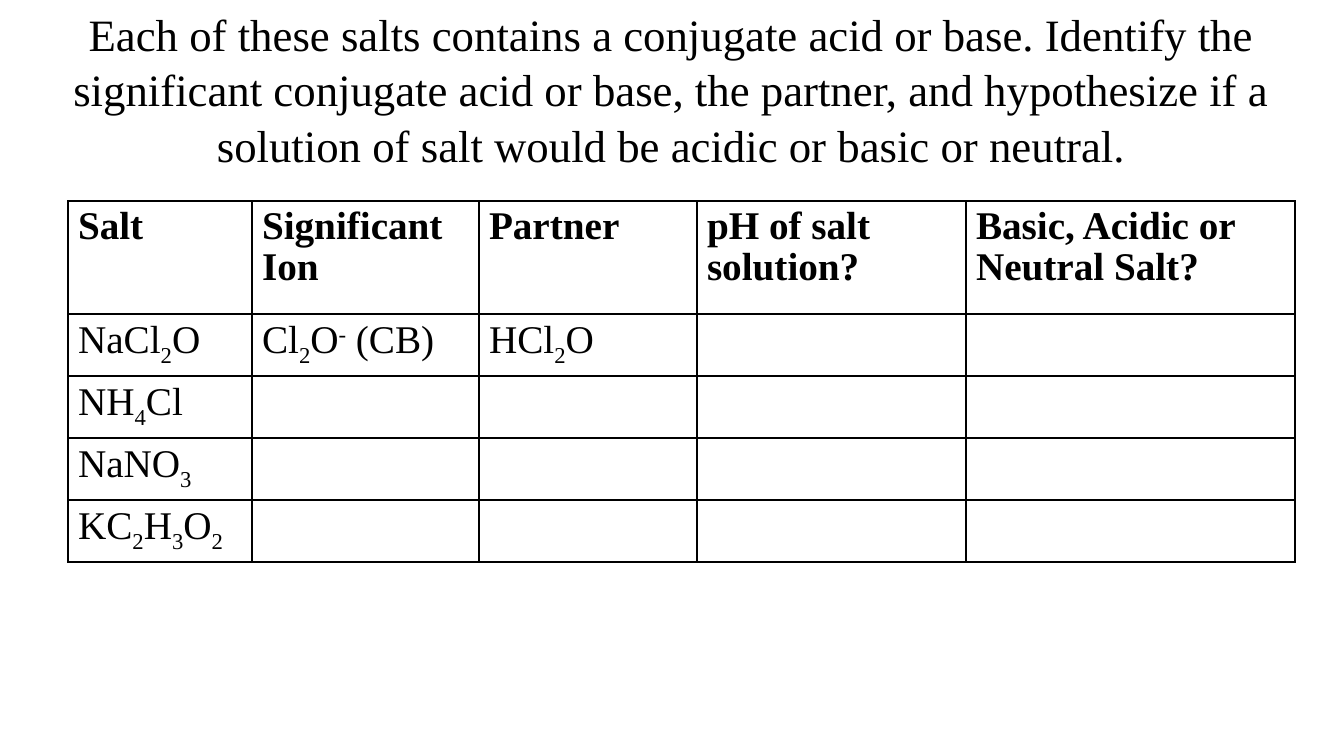
from pptx import Presentation
from pptx.dml.color import RGBColor
from pptx.enum.text import MSO_ANCHOR as ANCHOR, MSO_AUTO_SIZE as AUTO, PP_ALIGN as ALIGN
from pptx.oxml import parse_xml
from pptx.oxml.ns import nsdecls
from pptx.util import Emu, Pt

# Content: "_" lowers and "^" raises the next character
TITLE = ("Each of these salts contains a conjugate acid or base. Identify the "
         "significant conjugate acid or base, the partner, and hypothesize if a "
         "solution of salt would be acidic or basic or neutral.")
ROWS = [
    ["Salt", "Significant Ion", "Partner", "pH of salt solution?",
     "Basic, Acidic or Neutral Salt?"],
    ["NaCl_2O", "Cl_2O^- (CB)", "HCl_2O", "", ""],
    ["NH_4Cl", "", "", "", ""],
    ["NaNO_3", "", "", "", ""],
    ["KC_2H_3O_2", "", "", "", ""],
]
COL_WIDTHS = [184, 227, 218, 269, 329]
ROW_HEIGHTS = [113] + [62] * 4
TITLE_BOX = (50, 25, 1243, 126)
TABLE_AT = (68, 201)

FONT = "Times New Roman"
BLACK = RGBColor(0, 0, 0)
WHITE = RGBColor(255, 255, 255)
BASELINES = {"_": "-25000", "^": "30000"}


def px(n):
    return Emu(round(n * 914400 / 100.8))


def add_run(p, text, size, bold=False, baseline=None):
    r = p.add_run()
    r.text = text
    f = r.font
    f.name, f.size, f.bold = FONT, Pt(size), bold
    f.color.rgb = BLACK
    if baseline:
        r._r.get_or_add_rPr().set("baseline", baseline)


def add_formula(p, text, size, bold):
    plain = ""
    chars = iter(text)
    for ch in chars:
        if ch in BASELINES:
            add_run(p, plain, size, bold)
            add_run(p, next(chars), size, bold, BASELINES[ch])
            plain = ""
        else:
            plain += ch
    if plain:
        add_run(p, plain, size, bold)


def add_borders(cell):
    tcPr = cell._tc.get_or_add_tcPr()
    for i, side in enumerate(("lnL", "lnR", "lnT", "lnB")):
        tcPr.insert(i, parse_xml(
            f'<a:{side} {nsdecls("a")} w="12700"><a:solidFill>'
            f'<a:srgbClr val="{BLACK}"/></a:solidFill></a:{side}>'))


prs = Presentation()
prs.slide_width, prs.slide_height = px(1344), px(756)
slide = prs.slides.add_slide(prs.slide_layouts[5])

# Title
title = slide.shapes.title
title.left, title.top, title.width, title.height = map(px, TITLE_BOX)
tf = title.text_frame
tf.word_wrap, tf.auto_size, tf.vertical_anchor = True, AUTO.NONE, ANCHOR.MIDDLE
p = tf.paragraphs[0]
p.alignment, p.line_spacing = ALIGN.CENTER, 1.04
add_run(p, TITLE, 32)

# Salt table
table = slide.shapes.add_table(
    len(ROWS), len(COL_WIDTHS), *map(px, TABLE_AT),
    px(sum(COL_WIDTHS)), px(sum(ROW_HEIGHTS))).table
table.first_row = table.horz_banding = False
for col, width in zip(table.columns, COL_WIDTHS):
    col.width = px(width)
for i, (row, height) in enumerate(zip(table.rows, ROW_HEIGHTS)):
    row.height = px(height)
    for cell, text in zip(row.cells, ROWS[i]):
        cell.fill.solid()
        cell.fill.fore_color.rgb = WHITE
        add_borders(cell)
        p = cell.text_frame.paragraphs[0]
        if i == 0:
            p.line_spacing = 0.95
        add_formula(p, text, 28, bold=i == 0)

prs.save("out.pptx")
